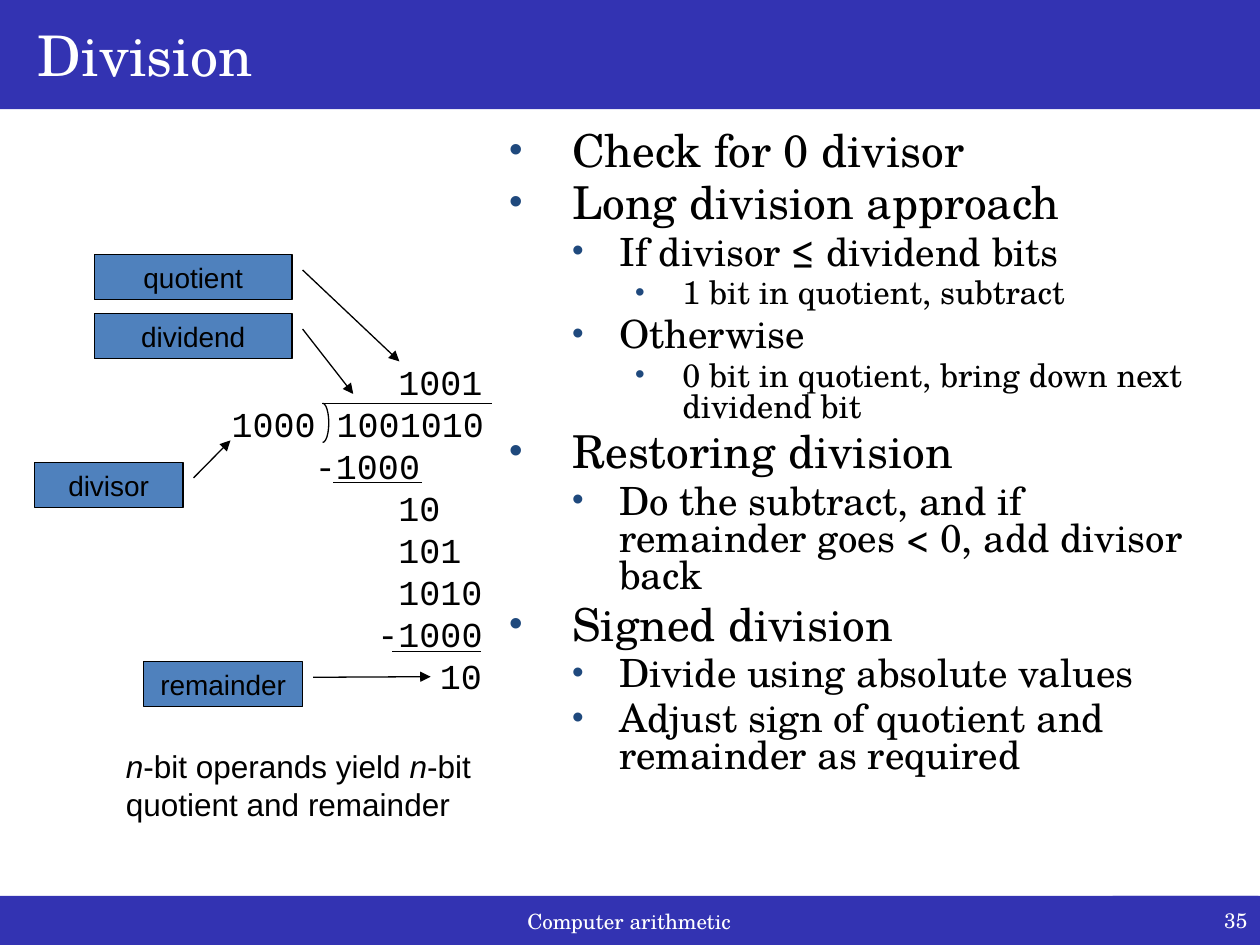
from lxml import etree
from pptx import Presentation
from pptx.dml.color import RGBColor
from pptx.enum.shapes import MSO_CONNECTOR, MSO_SHAPE
from pptx.enum.text import MSO_ANCHOR as Anchor, MSO_AUTO_SIZE as AutoSize, PP_ALIGN as Align
from pptx.oxml.ns import qn
from pptx.util import Cm, Pt

COLORS = {"bar": "3333B2", "label": "4F81BD", "bullet": "1F497D", "ink": "000000", "paper": "FFFFFF"}
SERIF, SANS, MONO = "TeX Gyre Schola", "Arial", "Courier New"
DIGIT_WIDTH = 0.42

LEVELS = [(25.9, 1.27, -1.27), (22.2, 2.22, -0.95), (18.5, 3.49, -0.95)]
POINTS = [
    (0, "Check for 0 divisor"),
    (0, "Long division approach"),
    (1, "If divisor ≤ dividend bits"),
    (2, "1 bit in quotient, subtract"),
    (1, "Otherwise"),
    (2, "0 bit in quotient, bring down next dividend bit"),
    (0, "Restoring division"),
    (1, "Do the subtract, and if remainder goes < 0, add divisor back"),
    (0, "Signed division"),
    (1, "Divide using absolute values"),
    (1, "Adjust sign of quotient and remainder as required"),
]
WORKING = [(8, "1001"), (0, "1000 1001010"), (4, "-1000"), (8, "10"),
           (8, "101"), (8, "1010"), (7, "-1000"), (10, "10")]
RULES = [(6.5, 9.91, 8.13), (6.71, 8.51, 9.73), (7.9, 9.7, 13.13)]
CALLOUTS = [
    ("quotient", (1.9, 5.13, 3.99), (0.346, 1.053, 2.37, 1.542)),
    ("dividend", (1.9, 6.32, 3.99), (0.346, 1.053, 1.784, 1.309)),
    ("remainder", (2.9, 13.34, 3.2), (0.346, 1.066, 0.332, 1.807)),
    ("divisor", (0.69, 9.32, 3), (0.346, 1.071, -0.486, 1.319)),
]


def color(name):
    return RGBColor.from_string(COLORS[name])


def lengths(*values):
    return [Cm(value) for value in values]


def write(para, text, *, font, size, ink="ink", italic=False, align=Align.LEFT):
    para.alignment = align
    span = para.add_run()
    span.text = text
    span.font.name, span.font.size, span.font.italic = font, Pt(size), italic
    span.font.color.rgb = color(ink)


def indent(para, left, first=0):
    properties = para._p.get_or_add_pPr()
    properties.set("marL", str(Cm(left)))
    properties.set("indent", str(Cm(first)))


def add_bullet(para):
    properties = para._p.get_or_add_pPr()
    tint = etree.SubElement(properties, qn("a:buClr"))
    etree.SubElement(tint, qn("a:srgbClr"), val=COLORS["bullet"])
    etree.SubElement(properties, qn("a:buSzPct"), val="85000")
    etree.SubElement(properties, qn("a:buFont"), typeface=SANS)
    etree.SubElement(properties, qn("a:buChar"), char="•")


def place(shape, left, top, width, height):
    shape.left, shape.top, shape.width, shape.height = lengths(left, top, width, height)


def paint(shape, fill):
    shape.fill.solid()
    shape.fill.fore_color.rgb = color(fill)


def outline(shape):
    shape.line.color.rgb = color("ink")
    shape.line.width = Pt(0.75)


def next_para(frame, index):
    return frame.add_paragraph() if index else frame.paragraphs[0]


def fill_title(title):
    place(title, 0, 0, 25.4, 2.2)
    paint(title, "bar")
    title.text_frame.vertical_anchor = Anchor.MIDDLE
    title.text_frame.auto_size = AutoSize.NONE
    para = title.text_frame.paragraphs[0]
    indent(para, 0.51)
    write(para, "Division", font=SERIF, size=32, ink="paper")


def fill_body(body):
    place(body, 10.01, 2.54, 14.12, 14.48)
    body.text_frame.auto_size = AutoSize.NONE
    for index, (level, text) in enumerate(POINTS):
        size, left, first = LEVELS[level]
        para = next_para(body.text_frame, index)
        para.level = level
        para.line_spacing = 0.8
        indent(para, left, first)
        add_bullet(para)
        write(para, text, font=SERIF, size=size)


def add_bar(page, text, align, *bounds):
    bar = page.shapes.add_shape(MSO_SHAPE.RECTANGLE, *lengths(*bounds))
    bar.shadow.inherit = False
    paint(bar, "bar")
    bar.line.fill.background()
    bar.text_frame.vertical_anchor = Anchor.MIDDLE
    write(bar.text_frame.paragraphs[0], text, font=SERIF, size=12, ink="paper", align=align)


def add_working(page):
    frame = page.shapes.add_textbox(*lengths(4.42, 7.14, 5.59, 7.04)).text_frame
    frame.word_wrap = True
    frame.margin_right = 0
    for index, (column, digits) in enumerate(WORKING):
        para = next_para(frame, index)
        indent(para, column * DIGIT_WIDTH)
        write(para, digits, font=MONO, size=20)


def add_rule(page, left, right, top):
    rule = page.shapes.add_connector(MSO_CONNECTOR.STRAIGHT, *lengths(right, top, left, top))
    outline(rule)
    etree.SubElement(rule._element.spPr, qn("a:effectLst"))


def add_bracket(page):
    bracket = page.shapes.add_shape(MSO_SHAPE.ARC, *lengths(6.38, 8.13, 0.25, 0.79))
    bracket.adjustments[0], bracket.adjustments[1] = 162, 54
    bracket.shadow.inherit = False
    bracket.fill.background()
    outline(bracket)


def add_callout(page, text, bounds, pointer):
    callout = page.shapes.add_shape(MSO_SHAPE.LINE_CALLOUT_1, *lengths(*bounds, 0.91))
    for index, value in enumerate(pointer):
        callout.adjustments[index] = value
    callout.shadow.inherit = False
    paint(callout, "label")
    outline(callout)
    etree.SubElement(callout.line._get_or_add_ln(), qn("a:tailEnd"), type="triangle")
    callout.text_frame.vertical_anchor = Anchor.TOP
    write(callout.text_frame.paragraphs[0], text, font=SANS, size=16, align=Align.CENTER)


def add_note(page):
    frame = page.shapes.add_textbox(*lengths(2.29, 14.94, 7.47, 1.78)).text_frame
    frame.word_wrap = False
    para = frame.paragraphs[0]
    for text in ("n", "-bit operands yield ", "n", "-bit"):
        write(para, text, font=SANS, size=18, italic=text == "n")
    para.add_line_break()
    write(para, "quotient and remainder", font=SANS, size=18)


def main():
    deck = Presentation()
    deck.slide_width, deck.slide_height = lengths(25.4, 19.05)
    page = deck.slides.add_slide(deck.slide_layouts[1])
    add_bar(page, "Computer arithmetic", Align.CENTER, 0, 18.06, 25.37, 1.02)
    fill_body(page.placeholders[1])
    fill_title(page.shapes.title)
    add_bar(page, "35", Align.RIGHT, 22.43, 18.06, 2.97, 0.99)
    add_working(page)
    for rule in RULES:
        add_rule(page, *rule)
    add_note(page)
    for callout in CALLOUTS:
        add_callout(page, *callout)
    add_bracket(page)
    deck.save("out.pptx")


if __name__ == "__main__":
    main()
